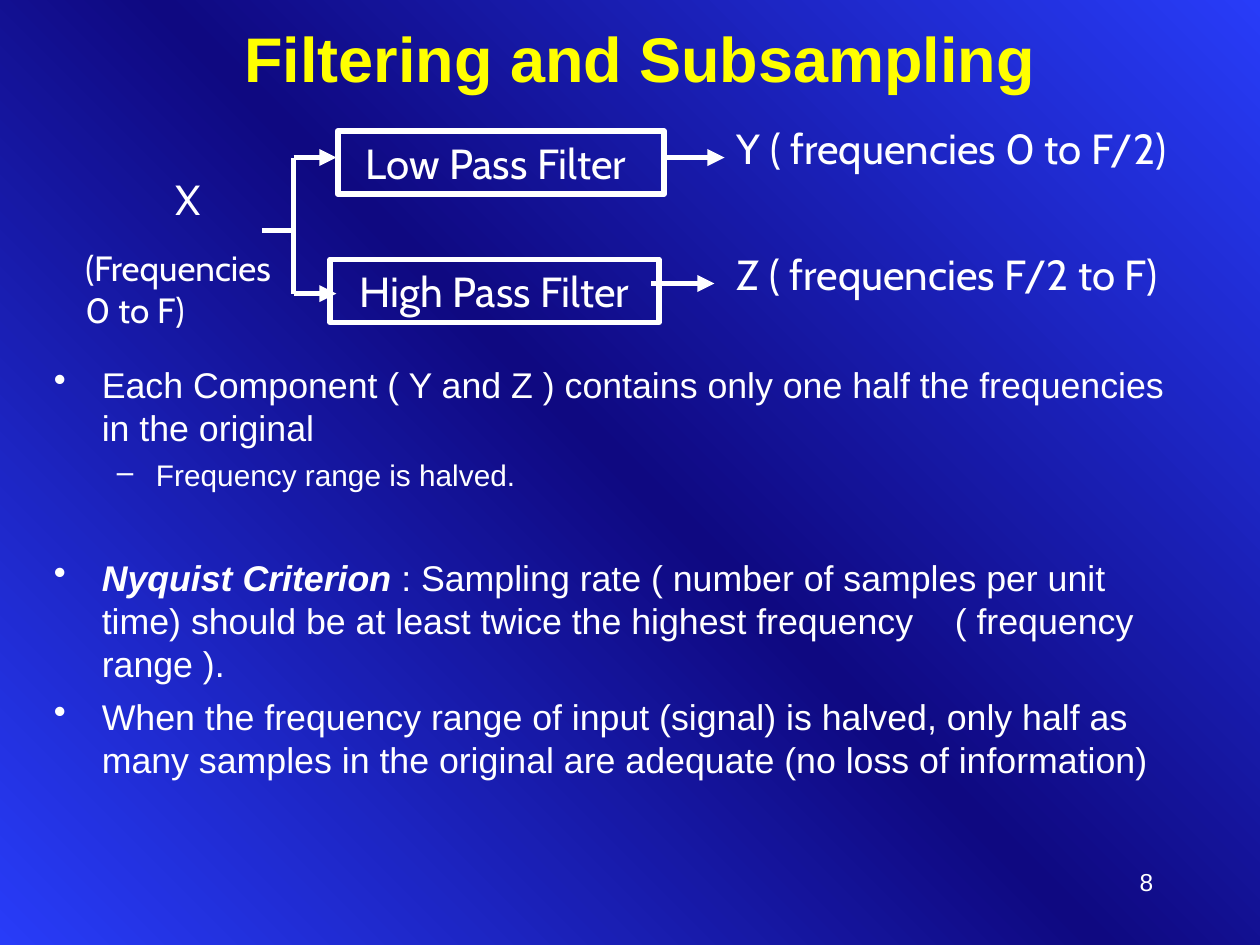
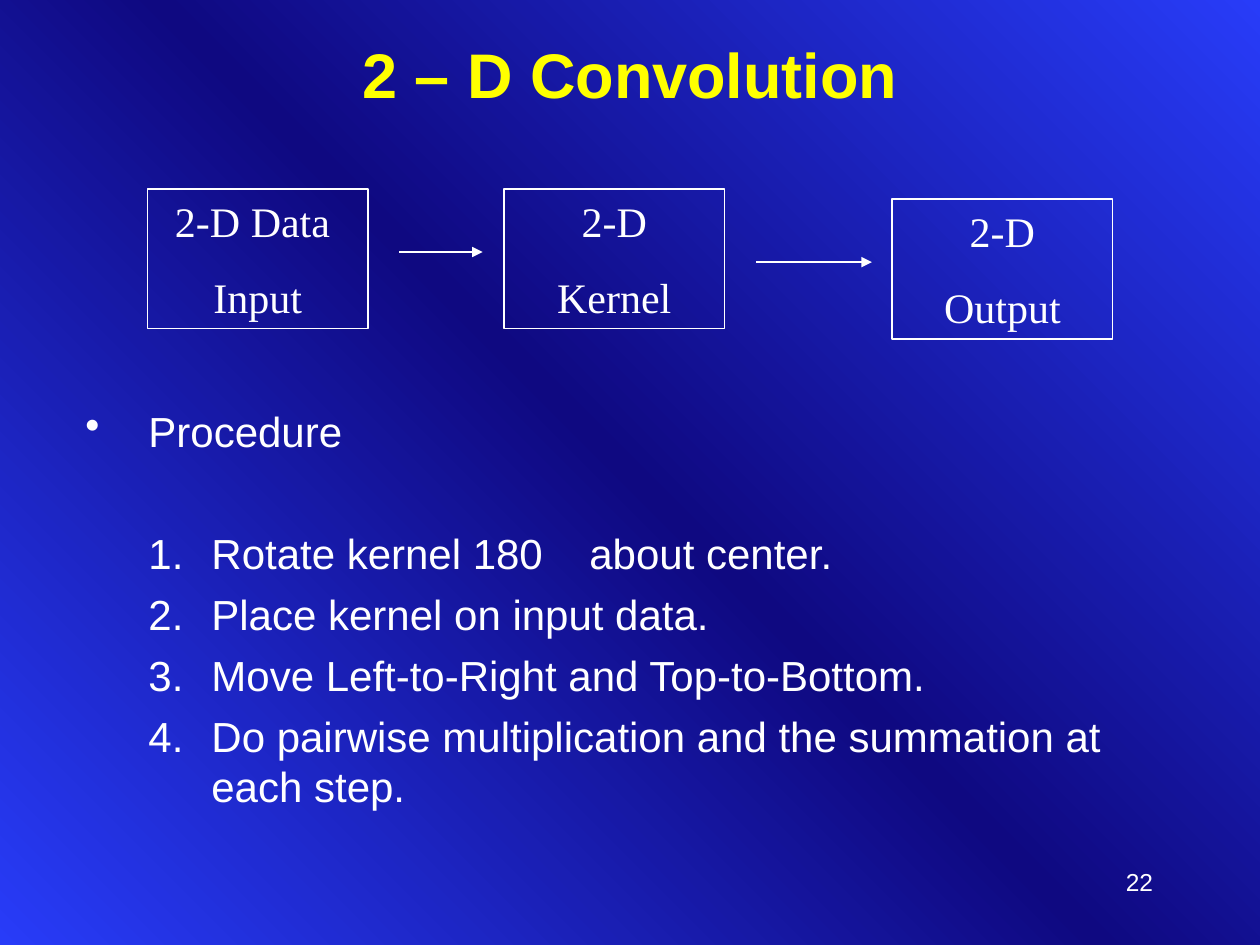
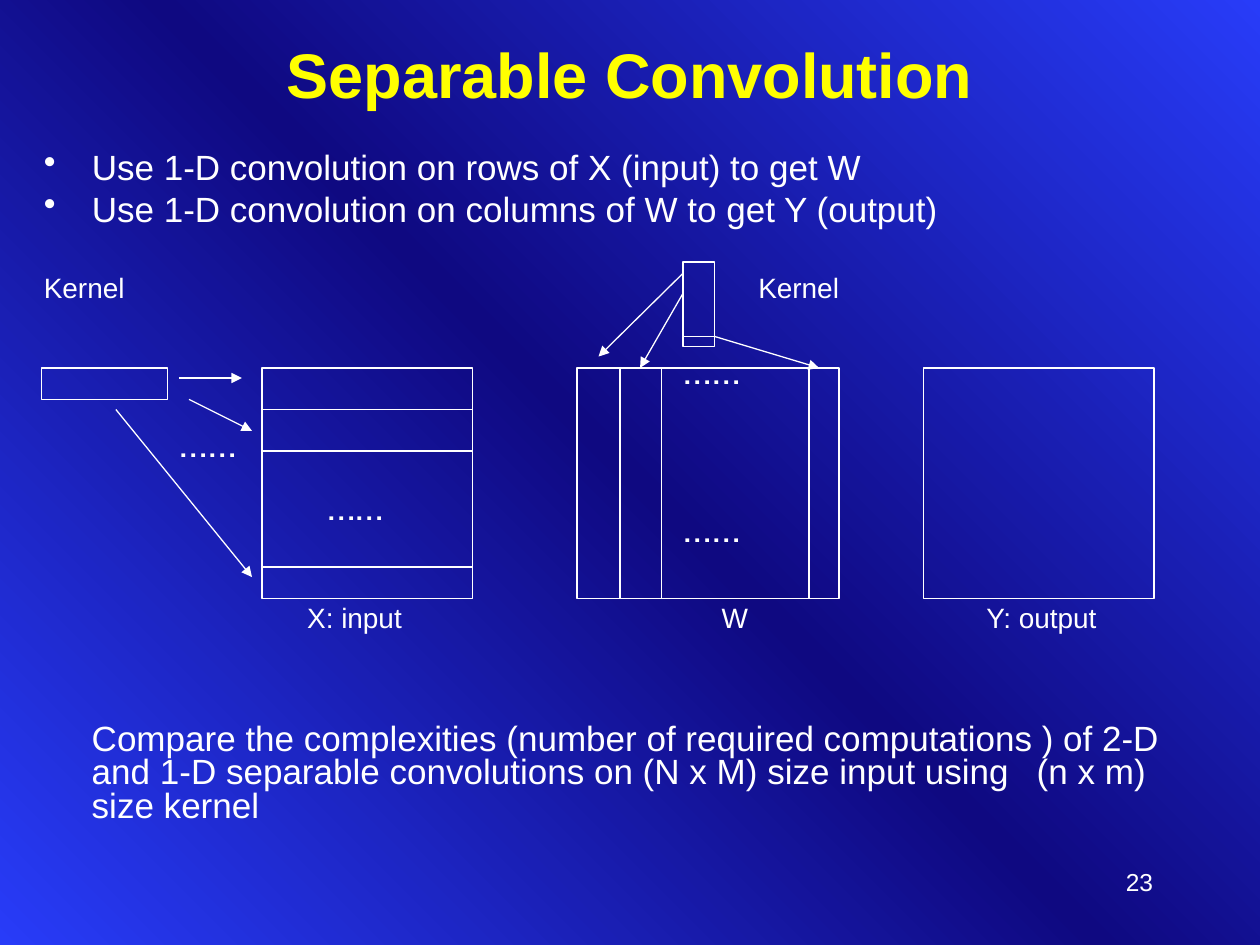
from copy import deepcopy

from lxml import etree
from pptx import Presentation
from pptx import util as u
from pptx.dml.color import RGBColor
from pptx.enum import shapes, text
from pptx.oxml.ns import qn

WHITE, YELLOW, BLUE, NAVY = "FFFFFF", "FFFF00", "283CF8", "0F0981"
ARIAL, CABIN, TIMES = "Arial", "Cabin", "Times New Roman"
THIN, THICK = 0.75, 3.25
CENTER, RIGHT = text.PP_ALIGN.CENTER, text.PP_ALIGN.RIGHT
DOTS = "……"


def color(value):
    return RGBColor.from_string(value)


def inches(*values):
    return [u.Inches(value) for value in values]


def set_values(target, values):
    for name, value in values.items():
        setattr(target, name, value)


def set_background(master):
    fill = master.background.fill
    fill.gradient()
    fill.gradient_angle = 45
    stops = master.element.xpath("./p:cSld/p:bg//a:gsLst")[0]
    stops.append(deepcopy(stops[0]))
    for stop, position, shade in zip(fill.gradient_stops, (0, 0.5, 1), (BLUE, NAVY, BLUE)):
        stop.position = position
        stop.color.rgb = color(shade)


def set_indent(para, left, hanging=0, bullet=None, tab=None):
    """Indent in inches; bullet is a character, or "1." for numbering."""
    props = para._p.get_or_add_pPr()
    props.set("marL", str(u.Inches(left)))
    props.set("indent", str(-u.Inches(hanging)))
    if bullet == "1.":
        etree.SubElement(props, qn("a:buAutoNum"), type="arabicPeriod")
    elif bullet:
        etree.SubElement(props, qn("a:buChar"), char=bullet)
    if tab:
        tabs = etree.SubElement(props, qn("a:tabLst"))
        etree.SubElement(tabs, qn("a:tab"), pos=str(u.Inches(tab)), algn="l")


def add_span(para, words, **font):
    span = para.add_run()
    span.text = words
    set_values(span.font, font)


def fill_frame(frame, items, font=ARIAL, size=20, **common):
    """Write items: each is a string, or a dict of text and paragraph format."""
    for index, item in enumerate(items):
        item = {"text": item} if isinstance(item, str) else item
        para = frame.paragraphs[0] if index == 0 else frame.add_paragraph()
        if "indent" in item:
            set_indent(para, *item["indent"], tab=item.get("tab"))
        elif "tab" in item:
            set_indent(para, 0, tab=item["tab"])
        set_values(para, {**common, **item.get("format", {})})
        if index == 0:
            para.space_before = u.Pt(0)
        set_values(para.font, {"name": font, "size": u.Pt(item.get("size", size))})
        para.font.color.rgb = color(WHITE)
        style = {"name": font, "size": u.Pt(item.get("size", size))}
        if "lead" in item:
            add_span(para, item["lead"], bold=True, italic=True, **style)
        add_span(para, item["text"], **style)
        for span in para.runs:
            span.font.color.rgb = color(WHITE)


def add_text(page, place, items, **style):
    box = page.shapes.add_textbox(*inches(*place))
    box.text_frame.word_wrap = True
    fill_frame(box.text_frame, items, **style)


def add_box(page, place, width=THIN):
    box = page.shapes.add_shape(shapes.MSO_SHAPE.RECTANGLE, *inches(*place))
    box.shadow.inherit = False
    box.fill.background()
    box.line.color.rgb = color(WHITE)
    box.line.width = u.Pt(width)
    return box


def add_line(page, start, end, width=THIN, arrow=False):
    line = page.shapes.add_connector(
        shapes.MSO_CONNECTOR.STRAIGHT, *inches(*start, *end))
    line.line.color.rgb = color(WHITE)
    line.line.width = u.Pt(width)
    if arrow:
        etree.SubElement(line.line._get_or_add_ln(), qn("a:tailEnd"), type="triangle")
    etree.SubElement(line._element.spPr, qn("a:effectLst"))


def add_page(deck, title, number, title_place=(0.75, 0.08, 8.5, 1)):
    page = deck.slides.add_slide(deck.slide_layouts[5])
    heading = page.shapes.title
    set_values(heading, dict(zip(("left", "top", "width", "height"), inches(*title_place))))
    frame = heading.text_frame
    frame.text = title
    frame.vertical_anchor = text.MSO_ANCHOR.MIDDLE
    para = frame.paragraphs[0]
    para.alignment = CENTER
    font = para.runs[0].font
    set_values(font, {"name": ARIAL, "size": u.Pt(36), "bold": True})
    font.color.rgb = color(YELLOW)
    add_text(page, (7.17, 6.83, 2.08, 0.5), [number], size=14, alignment=RIGHT)
    return page


def add_filtering(deck):
    page = add_page(deck, "Filtering and Subsampling", "8", (0.83, 0.08, 8.5, 0.75))
    bullet = (0.38, 0.38, "•")
    add_text(page, (0.33, 2.83, 9.17, 3.83), [
        {"text": "Each Component ( Y and Z ) contains only one half the frequencies "
                 "in the original", "indent": bullet},
        {"text": "Frequency range is halved.", "indent": (0.81, 0.31, "–"), "size": 17,
         "format": {"space_before": u.Pt(5)}},
        {"lead": "Nyquist Criterion",
         "text": " : Sampling rate ( number of samples per unit time) should be at least "
                 "twice the highest frequency\t( frequency range ).",
         "indent": bullet, "tab": 7.15, "format": {"space_before": u.Pt(36)}},
        {"text": "When the frequency range of input (signal) is halved, only half as many "
                 "samples in the original are adequate (no loss of information)",
         "indent": bullet},
    ], size=20.4, space_before=u.Pt(6))

    for label, place in (("Low Pass Filter ", (2.68, 1.04, 2.59, 0.5)),
                         ("High Pass Filter", (2.62, 2.06, 2.61, 0.5))):
        frame = add_box(page, place, THICK).text_frame
        frame.word_wrap = False
        fill_frame(frame, [label], font=CABIN, size=24, alignment=CENTER)
    for left, top, length in ((2.33, 1.25, 0.34), (2.33, 2.33, 0.34),
                              (5.25, 1.25, 0.5), (5.17, 2.25, 0.5)):
        add_line(page, (left, top), (left + length, top), THICK, arrow=True)
    add_line(page, (2.33, 1.25), (2.33, 2.33), THICK)
    add_line(page, (2.08, 1.83), (2.33, 1.83), THICK)

    add_text(page, (0.58, 1.33, 1.83, 1.34), [
        {"text": "X", "format": {"alignment": CENTER}},
        {"text": "(Frequencies 0 to F)", "size": 20},
    ], font=CABIN, size=24, space_before=u.Pt(12.5))
    for top, label in ((0.92, "Y ( frequencies 0 to F/2)"), (1.92, "Z ( frequencies F/2 to F)")):
        add_text(page, (5.75, top, 3.83, 0.9), [label], font=CABIN, size=24)


def add_convolution(deck):
    page = add_page(deck, "2 – D Convolution", "22")
    for left, top, words in ((1.17, 1.5, ("2-D Data ", "Input")),
                             (4, 1.5, ("2-D", "Kernel")),
                             (7.08, 1.58, ("2-D", "Output"))):
        frame = add_box(page, (left, top, 1.75, 1.11)).text_frame
        frame.vertical_anchor = text.MSO_ANCHOR.TOP
        fill_frame(frame, words, font=TIMES, size=24, alignment=CENTER, space_before=u.Pt(15))
    add_line(page, (3.17, 2), (3.83, 2), arrow=True)
    add_line(page, (6, 2.08), (6.92, 2.08), arrow=True)

    step = (1, 0.5, "1.")
    add_text(page, (0.58, 3.17, 8.5, 3.42), [
        {"text": "Procedure", "indent": (0.5, 0.5, "•")},
        {"text": "Rotate kernel 180\tabout center.", "indent": step, "tab": 2.92,
         "format": {"space_before": u.Pt(41)}},
        {"text": "Place kernel on input data.", "indent": step},
        {"text": "Move Left-to-Right and Top-to-Bottom.", "indent": step},
        {"text": "Do pairwise multiplication and the summation at each step.", "indent": step},
    ], size=24, space_before=u.Pt(6))


def add_separable(deck):
    page = add_page(deck, "Separable Convolution", "23")
    bullet = (0.38, 0.38, "•")
    add_text(page, (0.25, 1.17, 9.42, 0.8), [
        {"text": "Use 1-D convolution on rows of X (input) to get W", "indent": bullet},
        {"text": "Use 1-D convolution on columns of W to get Y (output)", "indent": bullet},
    ], line_spacing=0.8, space_before=u.Pt(5))
    for left, top, label in ((0.25, 2.1, "Kernel"), (5.92, 2.1, "Kernel"),
                             (2.34, 4.72, "X: input"), (5.63, 4.72, "W"),
                             (7.73, 4.72, "Y: output")):
        add_text(page, (left, top, 1.3, 0.35), [label], size=16)
    add_text(page, (0.63, 5.7, 9.04, 1), [
        {"text": "Compare the complexities (number of required computations ) of 2-D and 1-D "
                 "separable convolutions on (N x M) size input using\t(n x m) size kernel",
         "tab": 7.82},
    ], line_spacing=0.8)

    top, bottom = 2.92, 4.75
    row_kernel, column_kernel = (0.33, top, 1, 0.25), (5.42, 2.08, 0.25, 0.67)
    matrices = [(left, top, width, bottom - top)
                for left, width in ((2.08, 1.67), (4.58, 2.08), (7.33, 1.83))]
    for place in (row_kernel, column_kernel, *matrices):
        add_box(page, place)
    for row in (3.25, 3.58, 4.5):
        add_line(page, (2.08, row), (3.75, row))
    for column in (4.92, 5.25, 6.42):
        add_line(page, (column, top), (column, bottom))
    add_line(page, (5.33, top), (6.42, top))
    add_line(page, (5.42, 2.67), (5.67, 2.67))
    for start, end in (((1.42, 3), (1.92, 3)), ((1.5, 3.17), (2, 3.42)),
                       ((0.92, 3.25), (2, 4.58)), ((5.42, 2.17), (4.75, 2.83)),
                       ((5.42, 2.33), (5.08, top)), ((5.67, 2.67), (6.5, top))):
        add_line(page, start, end, arrow=True)
    for left, dots_top in ((2.5, 3.75), (5.33, 2.67), (5.33, 3.92), (1.33, 3.25)):
        add_text(page, (left, dots_top, 0.83, 0.9), [DOTS], font=CABIN, size=24)


def main():
    deck = Presentation()
    deck.slide_width, deck.slide_height = inches(10, 7.5)
    set_background(deck.slide_master)
    add_filtering(deck)
    add_convolution(deck)
    add_separable(deck)
    deck.save("out.pptx")


if __name__ == "__main__":
    main()
